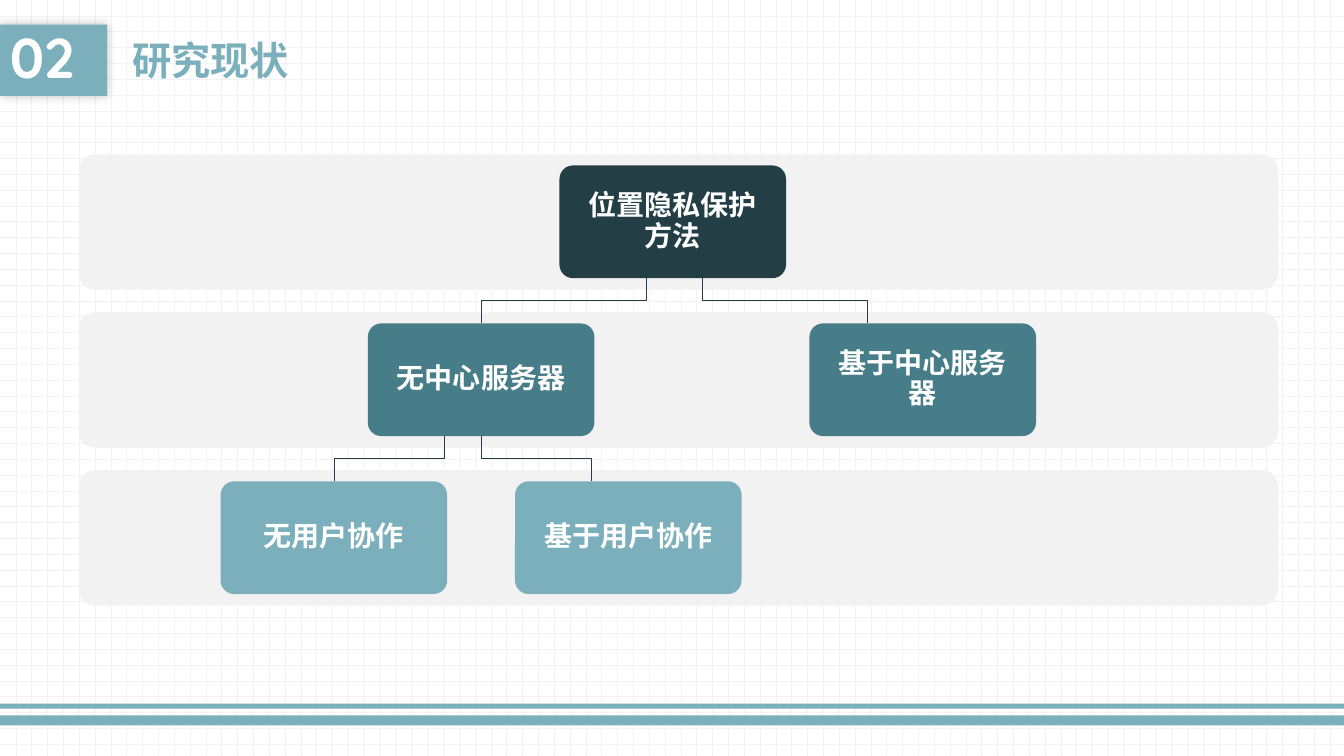
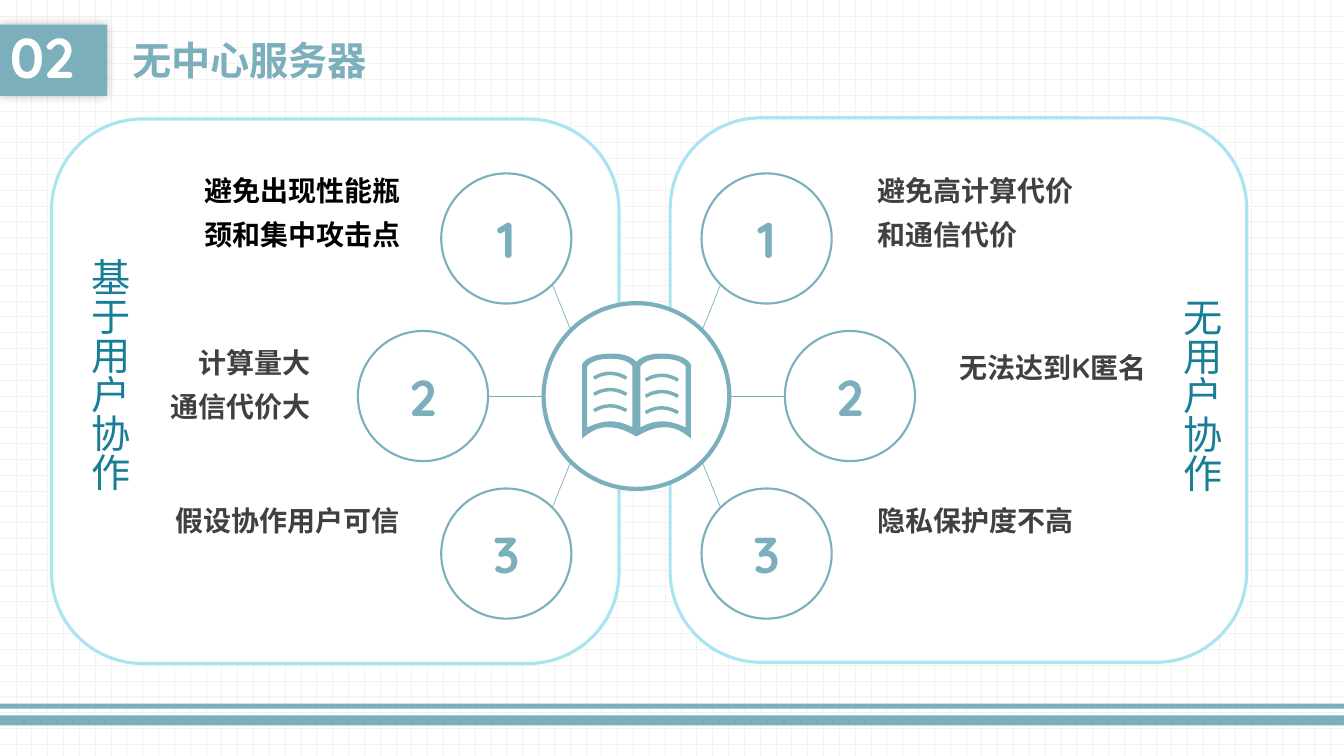
from pptx import Presentation
from pptx.dml.color import RGBColor
from pptx.enum.dml import MSO_PATTERN
from pptx.enum.lang import MSO_LANGUAGE_ID as LANG
from pptx.enum.shapes import MSO_CONNECTOR, MSO_SHAPE as SHAPE
from pptx.enum.text import MSO_ANCHOR as ANCHOR, PP_ALIGN as ALIGN
from pptx.oxml import parse_xml
from pptx.oxml.ns import nsdecls, qn
from pptx.util import Cm, Pt

WHITE = RGBColor(0xFF, 0xFF, 0xFF)
BLACK = RGBColor(0x00, 0x00, 0x00)
PALE_GREY = RGBColor(0xF2, 0xF2, 0xF2)
DARK_GREY = RGBColor(0x40, 0x40, 0x40)
TEAL = RGBColor(0x7C, 0xAF, 0xBC)
MID_TEAL = RGBColor(0x47, 0x7C, 0x89)
DARK_TEAL = RGBColor(0x23, 0x3E, 0x45)
PANEL_BLUE = RGBColor(0xAB, 0xE4, 0xF1)
LABEL_BLUE = RGBColor(0x18, 0x7E, 0x95)

FONT = "Quicksand"
SLIDE_W, SLIDE_H = 33.87, 19.05
SOFT_SHADOW = (
    f'<a:effectLst {nsdecls("a")}><a:outerShdw blurRad="88900" dist="0" dir="0" algn="ctr" rotWithShape="0">'
    '<a:srgbClr val="000000"><a:alpha val="25000"/></a:srgbClr></a:outerShdw></a:effectLst>')


def curve_points(start, segments, steps=10):
    """Flatten a path: two numbers make a line, six a cubic Bezier."""
    points = [start]
    for seg in segments:
        x0, y0 = points[-1]
        if len(seg) == 2:
            points.append(seg)
            continue
        x1, y1, x2, y2, x3, y3 = seg
        for i in range(1, steps + 1):
            t = i / steps
            a, b, c, d = (1 - t) ** 3, 3 * t * (1 - t) ** 2, 3 * t * t * (1 - t), t ** 3
            points.append((a * x0 + b * x1 + c * x2 + d * x3,
                           a * y0 + b * y1 + c * y2 + d * y3))
    return points


def mirrored(points):
    return [(-x, y) for x, y in points]


class Deck:
    """Shared style and the slide being filled; lengths are centimetres."""

    def __init__(self):
        self.prs = Presentation()
        self.prs.slide_width, self.prs.slide_height = Cm(SLIDE_W), Cm(SLIDE_H)
        self.s = None

    def new_slide(self, number, title):
        self.s = self.prs.slides.add_slide(self.prs.slide_layouts[6])
        fill = self.s.background.fill
        fill.patterned()
        fill.pattern = MSO_PATTERN.DOTTED_GRID
        fill.fore_color.rgb, fill.back_color.rgb = PALE_GREY, WHITE
        for top, height in ((18.03, 0.25), (17.73, 0.13)):
            self.shape(SHAPE.RECTANGLE, 0, top, SLIDE_W, height, TEAL)
        self.header(number, title)

    def header(self, number, title):
        badge = self.shape(SHAPE.RECTANGLE, 0, 0.62, 2.7, 1.8, TEAL)
        sp_pr = badge._element.spPr
        sp_pr.remove(sp_pr.find(qn("a:effectLst")))
        sp_pr.append(parse_xml(SOFT_SHADOW))
        self.fill_text(badge, [number], 40, WHITE, spacing=0.9, anchor=ANCHOR.MIDDLE)
        self.text(3.08, 0.62, 17.88, 1.8, [title], 28, TEAL, anchor=ANCHOR.MIDDLE)

    def paint(self, sp, fill=None, line=None, width=1):
        sp.shadow.inherit = False
        if fill is None:
            sp.fill.background()
        else:
            sp.fill.solid()
            sp.fill.fore_color.rgb = fill
        if line is None:
            sp.line.fill.background()
        else:
            sp.line.color.rgb = line
            sp.line.width = Pt(width)
        return sp

    def shape(self, kind, x, y, w, h, fill, line=None, width=1, corner=None):
        sp = self.s.shapes.add_shape(kind, Cm(x), Cm(y), Cm(w), Cm(h))
        if corner is not None:
            sp.adjustments[0] = corner
        return self.paint(sp, fill, line, width)

    def circle(self, cx, cy, radius, width):
        return self.shape(SHAPE.OVAL, cx - radius, cy - radius, 2 * radius, 2 * radius,
                          WHITE, TEAL, width)

    def outline(self, contours, close=False, fill=None, line=None, width=1):
        """Draw a freeform from one or more lists of points."""
        builder = None
        for contour in contours:
            points = [(Cm(x), Cm(y)) for x, y in contour]
            if builder is None:
                builder = self.s.shapes.build_freeform(*points[0], scale=1.0)
            else:
                builder.move_to(*points[0])
            builder.add_line_segments(points[1:], close=close)
        return self.paint(builder.convert_to_shape(), fill, line, width)

    def connector(self, x1, y1, x2, y2):
        line = self.s.shapes.add_connector(MSO_CONNECTOR.STRAIGHT, Cm(x1), Cm(y1), Cm(x2), Cm(y2))
        line.line.color.rgb = TEAL
        line.line.width = Pt(0.5)
        line._element.spPr.append(parse_xml(f'<a:effectLst {nsdecls("a")}/>'))

    def text(self, x, y, w, h, lines, size, color, vertical=False, **style):
        box = self.s.shapes.add_textbox(Cm(x), Cm(y), Cm(w), Cm(h))
        self.fill_text(box, lines, size, color, **style)
        if vertical:
            box.text_frame._txBody.bodyPr.set("vert", "eaVert")

    def fill_text(self, sp, lines, size, color, bold=True, align=ALIGN.LEFT, spacing=None,
                  anchor=ANCHOR.TOP, inset=None):
        tf = sp.text_frame
        tf.word_wrap = True
        tf.vertical_anchor = anchor
        if inset is not None:
            tf.margin_left = tf.margin_right = tf.margin_top = tf.margin_bottom = Cm(inset)
        for i, line in enumerate(lines):
            p = tf.add_paragraph() if i else tf.paragraphs[0]
            p.alignment = align
            if spacing:
                p.line_spacing = spacing
            r = p.add_run()
            r.text = line
            r.font.name, r.font.size, r.font.bold = FONT, Pt(size), bold
            r.font.color.rgb = color
            r.font.language_id = LANG.SIMPLIFIED_CHINESE
            r._r.rPr.append(parse_xml(f'<a:ea {nsdecls("a")} typeface="{FONT}"/>'))


def build_method_tree(deck):
    deck.new_slide("02", "研究现状")
    band_top, pitch, band_h = 3.89, 3.98, 3.41
    box_w, box_h, box_drop = 5.71, 2.84, 0.28
    level_colors = (DARK_TEAL, MID_TEAL, TEAL)
    boxes = ((0, 14.1, "位置隐私保护方法"),
             (1, 9.27, "无中心服务器"), (1, 20.4, "基于中心服务器"),
             (2, 5.56, "无用户协作"), (2, 12.98, "基于用户协作"))
    links = ((0, 16.28, 12.12), (0, 17.69, 21.85), (1, 11.2, 8.42), (1, 12.12, 14.9))

    for level in range(len(level_colors)):
        deck.shape(SHAPE.ROUNDED_RECTANGLE, 1.98, band_top + level * pitch, 30.23, band_h,
                   PALE_GREY, corner=0.12)
    for level, x_from, x_to in links:
        top = band_top + level * pitch + box_drop + box_h
        bottom = top + pitch - box_h
        middle = (top + bottom) / 2
        deck.outline([[(x_from, top), (x_from, middle), (x_to, middle), (x_to, bottom)]],
                     line=DARK_TEAL, width=0.5)
    for level, left, label in boxes:
        box = deck.shape(SHAPE.ROUNDED_RECTANGLE, left, band_top + level * pitch + box_drop,
                         box_w, box_h, level_colors[level], corner=0.12)
        deck.fill_text(box, [label], 20, WHITE, align=ALIGN.CENTER, spacing=0.9,
                       anchor=ANCHOR.MIDDLE, inset=0.4)


def draw_book(deck, cx, cy):
    cover = curve_points((0, -0.86), [
        (-0.1, -0.97, -0.28, -1.07, -0.64, -1.07), (-1.24, -1.07, -1.37, -0.81, -1.37, -0.79),
        (-1.37, 1.07), (-1.17, 0.91, -0.97, 0.76, -0.64, 0.79),
        (-0.36, 0.81, -0.15, 0.94, 0, 1.02)])
    page = curve_points((-0.1, 0.79), [
        (-0.2, 0.74, -0.38, 0.64, -0.66, 0.64), (-0.91, 0.64, -1.12, 0.74, -1.24, 0.79),
        (-1.24, -0.74), (-1.22, -0.79, -1.07, -0.94, -0.66, -0.94),
        (-0.23, -0.94, -0.13, -0.79, -0.1, -0.74)])
    text_line = curve_points((-0.42, 0.12), [
        (-0.26, 0.02, -0.12, 0, 0, 0), (0.12, 0, 0.26, 0.04, 0.4, 0.12)])

    def shifted(points, dx=0, dy=0):
        return [(cx + dx + x, cy + dy + y) for x, y in points]

    deck.outline([shifted(cover + mirrored(cover)[::-1]), shifted(page), shifted(mirrored(page))],
                 close=True, fill=TEAL)
    for dx, dy in ((-0.65, -0.57), (0.65, -0.52)):
        for row in range(3):
            deck.outline([shifted(text_line, dx, dy + 0.41 * row)], line=TEAL, width=2.5)


def build_comparison(deck):
    deck.new_slide("02", "无中心服务器")
    cx, cy, hub_r, node_r = 16.04, 9.98, 2.34, 1.64
    diagonal = 0.5 ** 0.5
    nodes = ((3.28, -3.97), (5.38, 0), (3.28, 3.97))
    callouts = (
        (4.47, 3.99, 5.87, 2.36, ["避免出现性能瓶颈和集中攻击点"], BLACK, ALIGN.RIGHT),
        (3.89, 8.33, 4.19, 2.49, ["计算量大", "通信代价大"], DARK_GREY, ALIGN.RIGHT),
        (4.11, 12.32, 6.22, 1.37, ["假设协作用户可信"], DARK_GREY, ALIGN.RIGHT),
        (21.87, 3.99, 5.51, 2.49, ["避免高计算代价和通信代价"], DARK_GREY, ALIGN.LEFT),
        (23.93, 8.46, 5.23, 1.37, ["无法达到K匿名"], DARK_GREY, ALIGN.LEFT),
        (21.87, 12.32, 5.51, 1.37, ["隐私保护度不高"], DARK_GREY, ALIGN.LEFT))

    for x, y, w in ((16.89, 2.97, 14.53), (1.3, 3, 14.3)):
        deck.shape(SHAPE.ROUNDED_RECTANGLE, x, y, w, 13.72, WHITE, PANEL_BLUE, 2.25)
    deck.circle(cx, cy, hub_r, 3)
    draw_book(deck, cx, cy)

    for side in (-1, 1):
        for number, (dx, dy) in enumerate(nodes, 1):
            x, y = cx + side * dx, cy + dy
            node = deck.circle(x, y, node_r, 1.5)
            deck.fill_text(node, [str(number)], 36, TEAL, align=ALIGN.CENTER,
                           anchor=ANCHOR.MIDDLE)
            toward_x = side * (diagonal if dy else 1)
            toward_y = diagonal * ((dy > 0) - (dy < 0))
            deck.connector(x - node_r * toward_x, y - node_r * toward_y,
                           cx + hub_r * toward_x, cy + hub_r * toward_y)
    for x, y, w, h, lines, color, align in callouts:
        deck.text(x, y, w, h, lines, 20, color, align=align, spacing=1.3)
    for x, y, h, label in ((1.78, 6.25, 7.39, "基于用户协作"), (29.29, 7.26, 5.5, "无用户协作")):
        deck.text(x, y, 1.7, h, [label], 28, LABEL_BLUE, vertical=True, bold=False)


def main():
    deck = Deck()
    build_method_tree(deck)
    build_comparison(deck)
    deck.prs.save("out.pptx")


if __name__ == "__main__":
    main()
